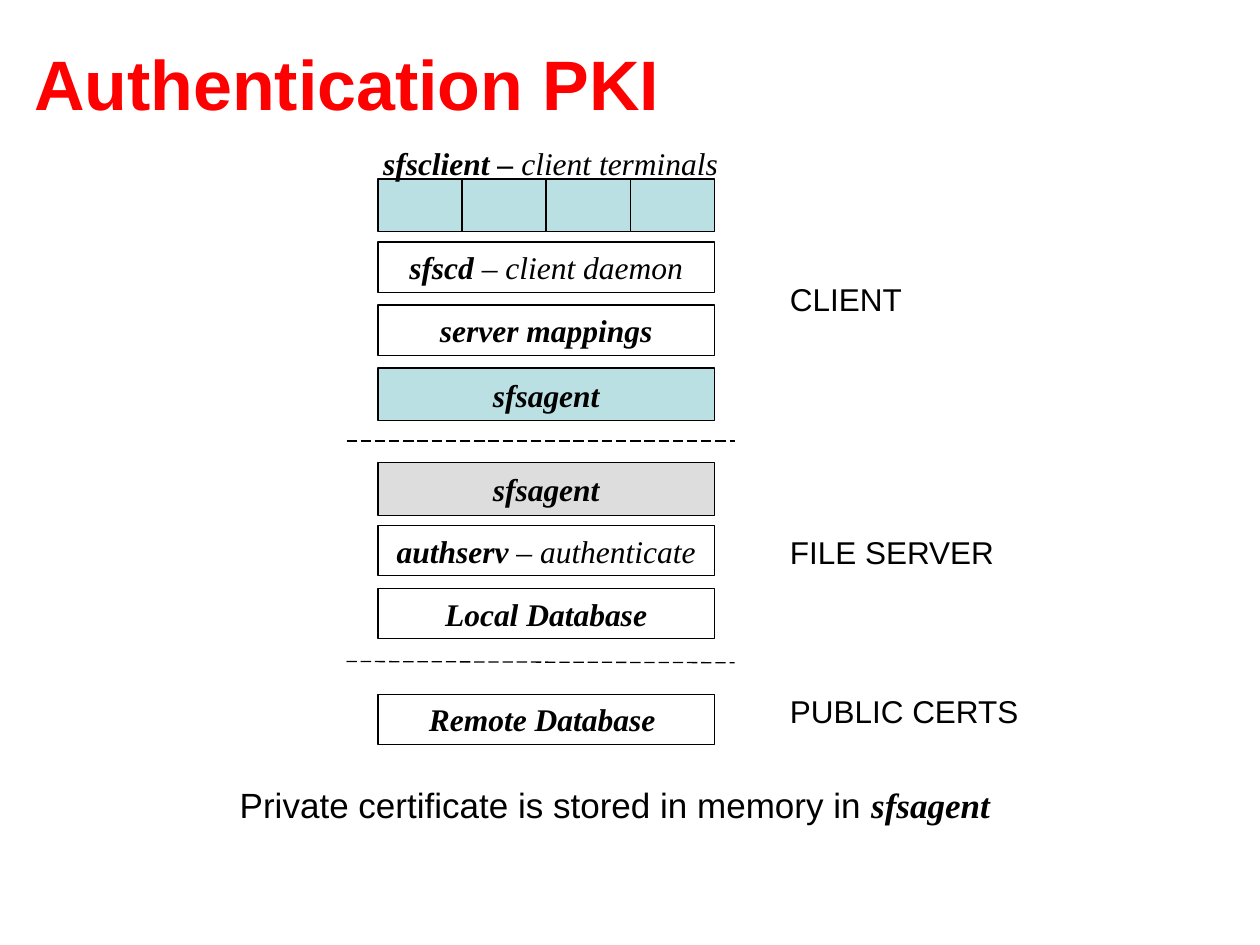
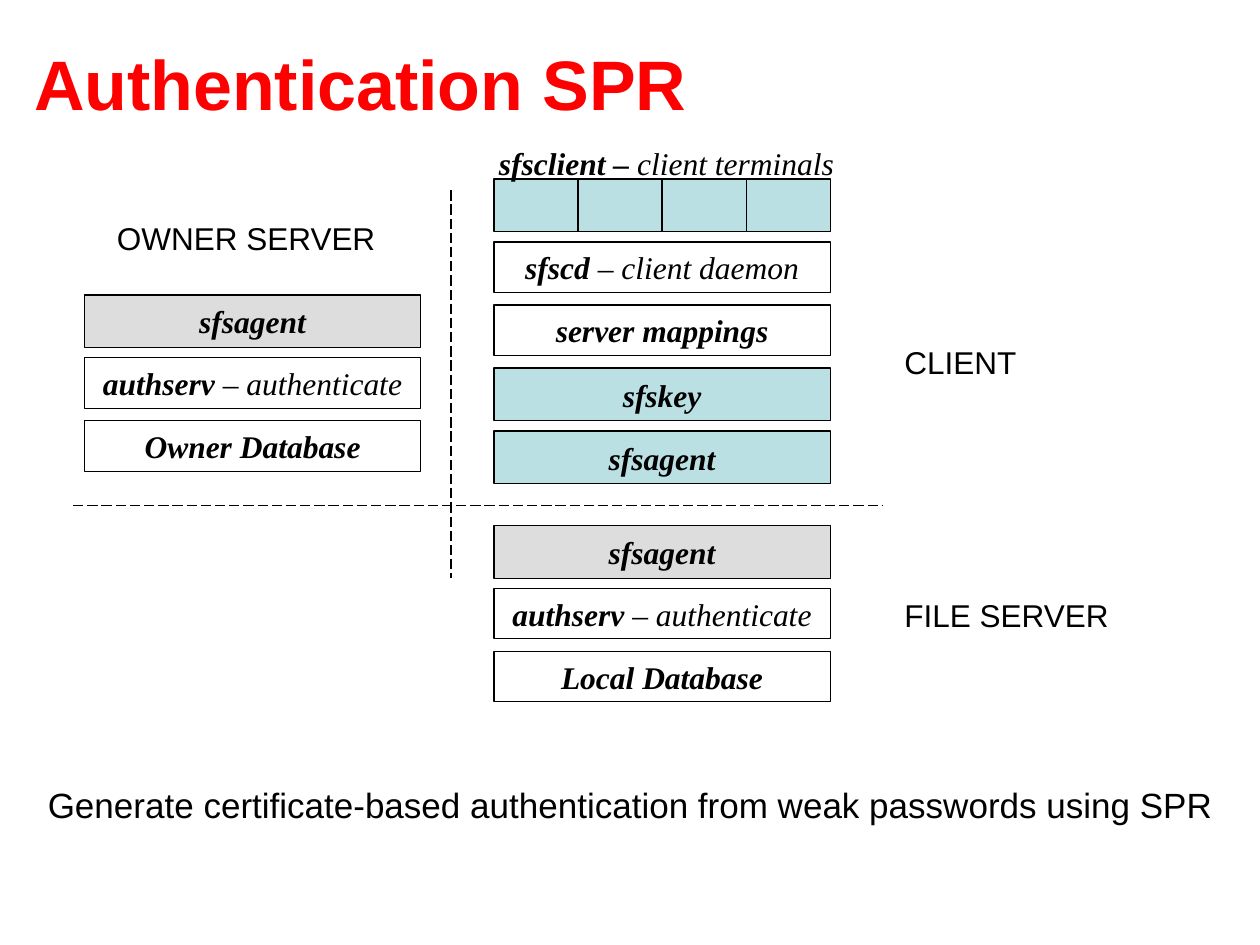
from dataclasses import dataclass

from lxml import etree
from pptx import Presentation
from pptx.dml.color import RGBColor
from pptx.enum import dml, shapes, text
from pptx.oxml import ns
from pptx.util import Inches, Pt

RED, BLACK, TEAL, GREY = "FF0000", "000000", "BBE0E3", "DDDDDD"
STACK_WIDTH = 2.67
ROW_PITCH = 0.5
TERMINALS_TOP = 1.42
TERMINAL_COUNT = 4
FILLED_HEIGHT, OPEN_HEIGHT = 0.42, 0.4
LINE_WIDTH = 0.75


@dataclass(frozen=True)
class Style:
    font: str
    size: float
    color: str = BLACK
    bold: bool = False
    italic: bool = False


TITLE = Style("Arial", 40, RED, bold=True)
LABEL = Style("Arial", 18)
CAPTION = Style("Arial", 20)
NAME = Style("Times New Roman", 18, bold=True, italic=True)
ROLE = Style("Times New Roman", 18, italic=True)
CAPTION_NAME = Style("Times New Roman", 20, bold=True, italic=True)


@dataclass(frozen=True)
class Segment:
    text: str
    style: Style


@dataclass(frozen=True)
class Layer:
    name: str
    role: str = ""
    fill: str | None = None


@dataclass(frozen=True)
class Stack:
    left: float
    top: float
    layers: list[Layer]


@dataclass(frozen=True)
class Label:
    text: str
    left: float
    top: float


@dataclass(frozen=True)
class Divider:
    start: tuple[float, float]
    end: tuple[float, float]


@dataclass(frozen=True)
class Diagram:
    title: str
    client_left: float
    stacks: list[Stack]
    labels: list[Label]
    dividers: list[Divider]
    caption: list[Segment]
    caption_left: float
    caption_width: float


CLIENT_TOP = TERMINALS_TOP + ROW_PITCH
CLIENT_DAEMON = Layer("sfscd", " – client daemon")
MAPPINGS = Layer("server mappings")
CLIENT_AGENT = Layer("sfsagent", fill=TEAL)
SERVER_LAYERS = [Layer("sfsagent", fill=GREY), Layer("authserv ", "– authenticate")]
LOCAL_SERVER = [*SERVER_LAYERS, Layer("Local Database")]
OWNER_SERVER = [*SERVER_LAYERS, Layer("Owner Database")]

DIAGRAMS = [
    Diagram(
        title="Authentication PKI",
        client_left=3,
        stacks=[
            Stack(3, CLIENT_TOP, [CLIENT_DAEMON, MAPPINGS, CLIENT_AGENT]),
            Stack(3, 3.67, LOCAL_SERVER),
            Stack(3, 5.51, [Layer("Remote Database ")]),
        ],
        labels=[
            Label("CLIENT", 6.17, 2.17),
            Label("FILE SERVER", 6.17, 4.18),
            Label("PUBLIC CERTS", 6.17, 5.44),
        ],
        dividers=[
            Divider((2.75, 3.5), (5.83, 3.5)),
            Divider((2.75, 5.25), (5.83, 5.26)),
        ],
        caption=[
            Segment("Private certificate is stored in memory in ", CAPTION),
            Segment("sfsagent ", CAPTION_NAME),
        ],
        caption_left=0.33,
        caption_width=9.17,
    ),
    Diagram(
        title="Authentication SPR",
        client_left=3.92,
        stacks=[
            Stack(3.92, CLIENT_TOP,
                  [CLIENT_DAEMON, MAPPINGS, Layer("sfskey", fill=TEAL), CLIENT_AGENT]),
            Stack(3.92, 4.17, LOCAL_SERVER),
            Stack(0.67, 2.34, OWNER_SERVER),
        ],
        labels=[
            Label("CLIENT", 7.08, 2.67),
            Label("FILE SERVER", 7.08, 4.68),
            Label("OWNER SERVER", 0.83, 1.69),
        ],
        dividers=[
            Divider((0.58, 4.01), (7, 4.01)),
            Divider((3.58, 1.51), (3.58, 4.59)),
        ],
        caption=[
            Segment("Generate certificate-based authentication from weak passwords using SPR",
                    CAPTION),
        ],
        caption_left=0.17,
        caption_width=9.67,
    ),
]


def rgb(color: str) -> RGBColor:
    return RGBColor.from_string(color)


def apply_style(font, style: Style) -> None:
    font.name = style.font
    font.size = Pt(style.size)
    font.bold = style.bold
    font.italic = style.italic
    font.color.rgb = rgb(style.color)


def write(shape, segments: list[Segment], align=text.PP_ALIGN.CENTER) -> None:
    shape.text_frame.word_wrap = True
    paragraph = shape.text_frame.paragraphs[0]
    paragraph.alignment = align
    base = segments[0].style
    apply_style(paragraph.font, base)
    for segment in segments:
        run = paragraph.add_run()
        run.text = segment.text
        if segment.style != base:
            apply_style(run.font, segment.style)


def add_title(slide, title: str) -> None:
    shape = slide.shapes.title
    shape.left, shape.top = Inches(0.17), Inches(0.32)
    shape.width, shape.height = Inches(9.58), Inches(1.25)
    frame = shape.text_frame
    frame.vertical_anchor = text.MSO_ANCHOR.TOP
    frame.margin_top = 0
    frame.auto_size = text.MSO_AUTO_SIZE.NONE
    write(shape, [Segment(title, TITLE)], text.PP_ALIGN.LEFT)


def add_text(slide, left: float, top: float, width: float, height: float,
             segments: list[Segment], align=text.PP_ALIGN.CENTER) -> None:
    box = slide.shapes.add_textbox(Inches(left), Inches(top), Inches(width), Inches(height))
    write(box, segments, align)


def add_box(slide, left: float, top: float, width: float, fill: str | None):
    height = FILLED_HEIGHT if fill else OPEN_HEIGHT
    box = slide.shapes.add_shape(shapes.MSO_SHAPE.RECTANGLE, Inches(left), Inches(top),
                                 Inches(width), Inches(height))
    box.shadow.inherit = False
    box.line.color.rgb = rgb(BLACK)
    box.line.width = Pt(LINE_WIDTH)
    if fill:
        box.fill.solid()
        box.fill.fore_color.rgb = rgb(fill)
    else:
        box.fill.background()
    return box


def add_terminals(slide, left: float) -> None:
    width = STACK_WIDTH / TERMINAL_COUNT
    for index in range(TERMINAL_COUNT):
        add_box(slide, left + index * width, TERMINALS_TOP, width, TEAL)
    add_text(slide, left - 0.17, 1.09, 3.08, 0.4,
             [Segment("sfsclient – ", NAME), Segment("client terminals", ROLE)])


def add_stack(slide, stack: Stack) -> None:
    for row, layer in enumerate(stack.layers):
        box = add_box(slide, stack.left, stack.top + row * ROW_PITCH, STACK_WIDTH, layer.fill)
        segments = [Segment(layer.name, NAME)]
        if layer.role:
            segments.append(Segment(layer.role, ROLE))
        write(box, segments)


def add_divider(slide, divider: Divider) -> None:
    ends = [Inches(value) for value in (*divider.start, *divider.end)]
    connector = slide.shapes.add_connector(shapes.MSO_CONNECTOR.STRAIGHT, *ends)
    connector.line.color.rgb = rgb(BLACK)
    connector.line.width = Pt(LINE_WIDTH)
    connector.line.dash_style = dml.MSO_LINE.LONG_DASH
    etree.SubElement(connector._element.spPr, ns.qn("a:effectLst"))


def add_diagram(presentation, diagram: Diagram) -> None:
    slide = presentation.slides.add_slide(presentation.slide_layouts[5])
    add_title(slide, diagram.title)
    add_terminals(slide, diagram.client_left)
    for stack in diagram.stacks:
        add_stack(slide, stack)
    for divider in diagram.dividers:
        add_divider(slide, divider)
    for label in diagram.labels:
        add_text(slide, label.left, label.top, 2.42, 0.4,
                 [Segment(label.text, LABEL)], text.PP_ALIGN.LEFT)
    add_text(slide, diagram.caption_left, 6.17, diagram.caption_width, 0.44, diagram.caption)


def main() -> None:
    presentation = Presentation()
    presentation.slide_width = Inches(10)
    presentation.slide_height = Inches(7.5)
    for diagram in DIAGRAMS:
        add_diagram(presentation, diagram)
    presentation.save("out.pptx")


if __name__ == "__main__":
    main()
